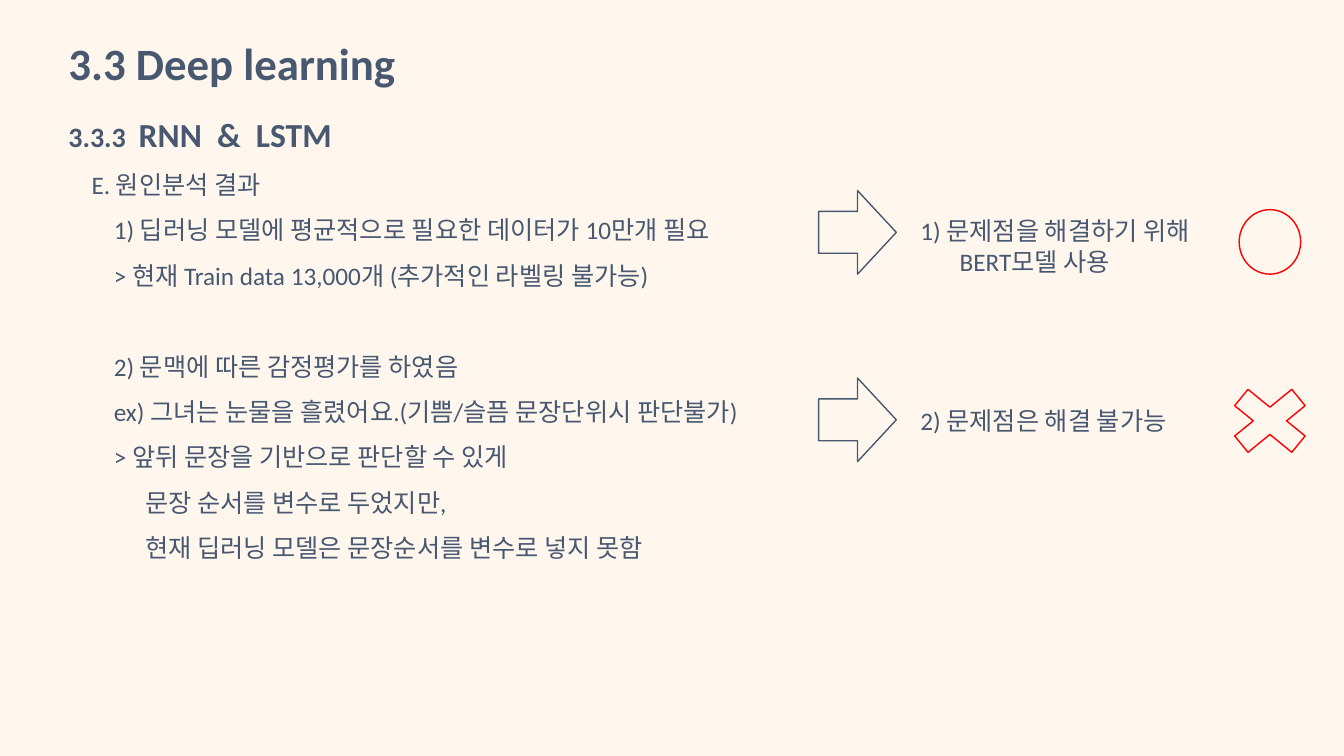
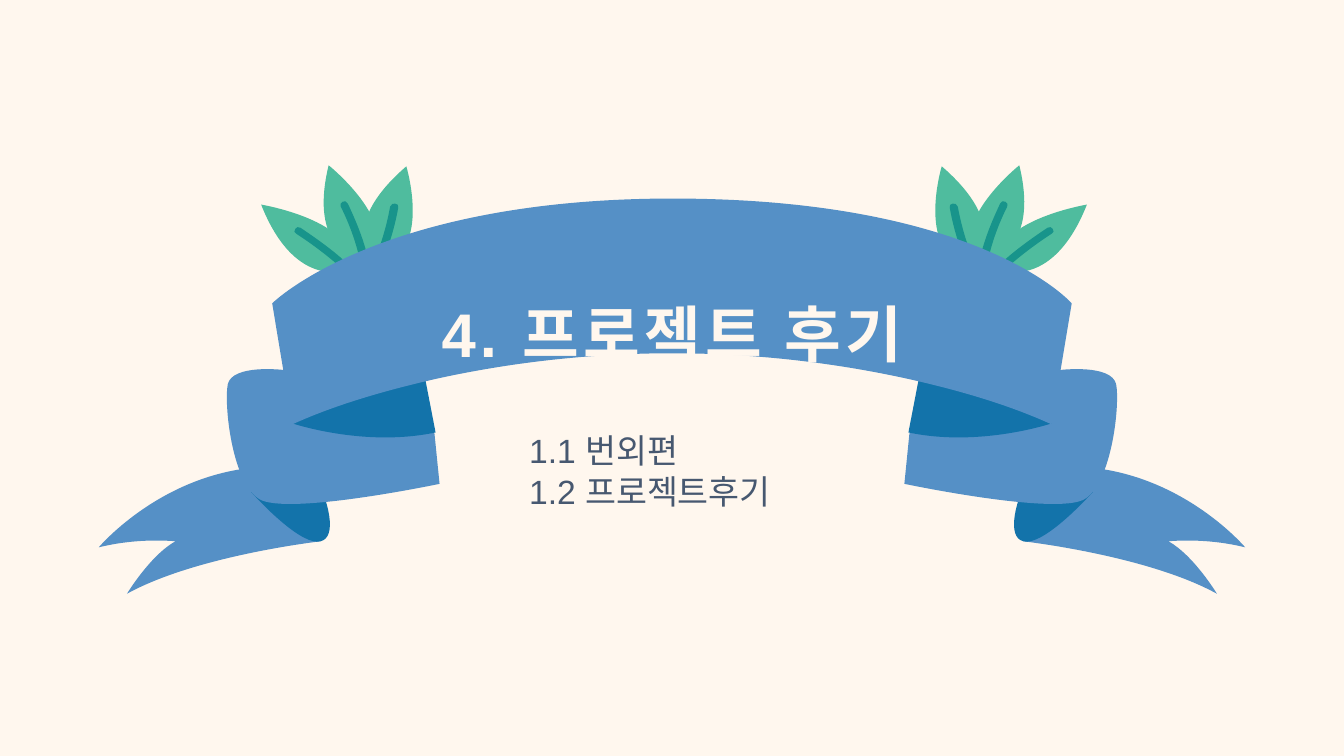
import dataclasses

import lxml.etree
import pptx
import pptx.dml.color
import pptx.enum.shapes
import pptx.enum.text
import pptx.oxml.ns
import pptx.util

Inches = pptx.util.Inches
Pt = pptx.util.Pt
qn = pptx.oxml.ns.qn
SHAPE = pptx.enum.shapes.MSO_SHAPE
ALIGN = pptx.enum.text.PP_ALIGN

# Palette
CREAM, SLATE, RED = "FFF7EE", "475870", "FF0000"
BLUE, DEEP_BLUE = "5590C6", "1373AA"
GREEN, DEEP_GREEN = "4FBC9E", "18948B"


def color(hex_value):
    return pptx.dml.color.RGBColor.from_string(hex_value)


@dataclasses.dataclass
class Line:
    """One paragraph; runs holds (text, size) pairs."""
    runs: list
    indent: float = 0
    spacing: float = 1.0
    before: float = 0
    bold: bool = False


class Deck:
    def __init__(self):
        self.prs = pptx.Presentation()
        self.prs.slide_width = Inches(13.33)
        self.prs.slide_height = Inches(7.5)
        self.slide = None

    def new_slide(self):
        self.slide = self.prs.slides.add_slide(self.prs.slide_layouts[6])
        self.slide.background.fill.solid()
        self.slide.background.fill.fore_color.rgb = color(CREAM)

    def text(self, box, lines, font="Calibri", ink=SLATE, align=ALIGN.LEFT, tracking=0):
        frame = self.slide.shapes.add_textbox(*map(Inches, box)).text_frame
        frame.word_wrap = True
        for number, line in enumerate(lines):
            paragraph = frame.add_paragraph() if number else frame.paragraphs[0]
            paragraph.alignment = align
            paragraph.line_spacing = line.spacing
            if line.before:
                paragraph.space_before = Pt(line.before)
            if line.indent:
                paragraph._p.get_or_add_pPr().set("marL", str(Inches(line.indent)))
            for words, size in line.runs:
                run = paragraph.add_run()
                run.text = words
                run.font.name = font
                run.font.size = Pt(size)
                run.font.bold = line.bold
                run.font.color.rgb = color(ink)
                if tracking:
                    run._r.get_or_add_rPr().set("spc", str(tracking * 100))

    def title(self, words):
        self.text((0.58, 0.37, 5.02, 0.71), [Line([(words, 32)], spacing=0.9, bold=True)])

    def outline(self, preset, box, ink, rotation=0):
        shape = self.slide.shapes.add_shape(preset, *map(Inches, box))
        shape.shadow.inherit = False
        shape.rotation = rotation
        shape.fill.background()
        shape.line.color.rgb = color(ink)
        shape.line.width = Pt(1)

    def freeform(self, group, fill, start, segments, mirror=None):
        """Pairs are straight lines, sixes are Bezier curves.

        mirror is the sum of a left x and its right twin.
        """
        def points(numbers):
            return [(Inches(mirror - x if mirror else x), Inches(y))
                    for x, y in zip(numbers[::2], numbers[1::2])]

        builder = group.shapes.build_freeform(*points(start)[0])
        builder.add_line_segments([points(segment)[-1] for segment in segments], close=True)
        shape = builder.convert_to_shape()
        left, top = shape.left, shape.top
        # Bend the straight segments that have control points
        for line, segment in zip(list(shape._element.iter(qn("a:lnTo"))), segments):
            if len(segment) == 6:
                curve = lxml.etree.Element(qn("a:cubicBezTo"))
                for x, y in points(segment):
                    lxml.etree.SubElement(curve, qn("a:pt"), x=str(x - left), y=str(y - top))
                line.getparent().replace(line, curve)
        shape.shadow.inherit = False
        shape.fill.solid()
        shape.fill.fore_color.rgb = color(fill)
        shape.line.fill.background()


# Left half of the ribbon artwork: (fill, start, segments)
LEAVES = [
    (GREEN, (3.47, 2.64), [(3.46, 2.68), (3.41, 2.69),
                           (3.27, 2.72, 2.87, 2.74, 2.59, 2.03),
                           (2.59, 2.03, 3.54, 2.19, 3.47, 2.64)]),
    (DEEP_GREEN, (3.47, 2.64), [(3.47, 2.68), (3.42, 2.69),
                                (3.3, 2.58, 3.14, 2.45, 2.94, 2.32),
                                (2.92, 2.31, 2.91, 2.29, 2.93, 2.27),
                                (2.94, 2.25, 2.96, 2.25, 2.98, 2.26),
                                (3.19, 2.4, 3.36, 2.53, 3.47, 2.64)]),
    (GREEN, (3.66, 2.57), [(3.63, 2.6), (3.58, 2.59),
                           (3.44, 2.55, 3.08, 2.38, 3.26, 1.64),
                           (3.26, 1.64, 3.98, 2.22, 3.66, 2.57)]),
    (DEEP_GREEN, (3.65, 2.57), [(3.63, 2.6), (3.57, 2.58),
                                (3.54, 2.44, 3.48, 2.25, 3.38, 2.05),
                                (3.37, 2.03, 3.38, 2.01, 3.4, 2),
                                (3.42, 1.99, 3.44, 2, 3.45, 2.02),
                                (3.55, 2.23, 3.62, 2.42, 3.65, 2.57)]),
    (GREEN, (3.79, 2.62), [(3.75, 2.63), (3.71, 2.59),
                           (3.62, 2.49, 3.43, 2.17, 4.03, 1.65),
                           (4.03, 1.65, 4.28, 2.48, 3.79, 2.62)]),
    (DEEP_GREEN, (3.79, 2.62), [(3.75, 2.63), (3.71, 2.59),
                                (3.77, 2.45, 3.83, 2.27, 3.87, 2.05),
                                (3.88, 2.03, 3.9, 2.01, 3.92, 2.02),
                                (3.94, 2.02, 3.96, 2.04, 3.95, 2.06),
                                (3.91, 2.29, 3.84, 2.48, 3.79, 2.62)]),
]
TAILS = [
    (BLUE, (3.18, 5.37), [(3.18, 5.37, 1.95, 5.51, 1.26, 5.89),
                          (1.26, 5.89, 1.49, 5.51, 1.74, 5.37),
                          (1.74, 5.37, 1.38, 5.33, 0.98, 5.43),
                          (0.98, 5.43, 1.56, 4.74, 2.5, 4.64),
                          (2.5, 4.64, 3.15, 5.07, 3.18, 5.37)]),
    (DEEP_BLUE, (2.49, 4.88), [(2.49, 4.88, 2.88, 5.32, 3.11, 5.37),
                               (3.33, 5.41, 3.31, 5.11, 3.15, 4.76)]),
    (BLUE, (2.81, 3.67), [(2.81, 3.67, 2.31, 3.61, 2.26, 3.81),
                          (2.22, 4.01, 2.3, 4.78, 2.57, 4.95),
                          (2.84, 5.12, 4.36, 4.8, 4.36, 4.8), (4.31, 4.3)]),
    (DEEP_BLUE, (2.9, 4.2), [(2.9, 4.2, 3.61, 4.44, 4.32, 4.29), (4.2, 3.67),
                             (4.2, 3.67, 3.33, 3.76, 2.9, 4.2)]),
]
BANNER = (BLUE, (10.63, 3.01), [(10.43, 4.21),
                                (9.99, 4.01, 9.5, 3.87, 9.01, 3.76),
                                (7.47, 3.42, 5.86, 3.42, 4.32, 3.76),
                                (3.84, 3.87, 3.34, 4.01, 2.9, 4.21), (2.7, 3.01),
                                (2.7, 3.01, 3.74, 1.97, 6.67, 1.97),
                                (9.73, 1.97, 10.63, 3.01, 10.63, 3.01)])


def causes_slide(deck):
    deck.new_slide()
    deck.title("3.3 Deep learning")

    # Causes: (text, indent, space before)
    causes = [
        ("E. 원인분석 결과", 0.23, 0),
        ("1) 딥러닝 모델에 평균적으로 필요한 데이터가 10만개 필요", 0.45, 0),
        ("> 현재 Train data 13,000개 (추가적인 라벨링 불가능)", 0.45, 0),
        ("2) 문맥에 따른 감정평가를 하였음", 0.45, 32.5),
        ("ex) 그녀는 눈물을 흘렸어요.(기쁨/슬픔 문장단위시 판단불가)", 0.45, 0),
        ("> 앞뒤 문장을 기반으로 판단할 수 있게", 0.45, 0),
        ("문장 순서를 변수로 두었지만,", 0.76, 0),
        ("현재 딥러닝 모델은 문장순서를 변수로 넣지 못함", 0.76, 0),
    ]
    heading = Line([("3.3.3  ", 20), ("RNN  &  LSTM", 24)], bold=True)
    deck.text((0.58, 1.08, 9.02, 4.54),
              [heading] + [Line([(words, 18)], indent, 1.5, before)
                           for words, indent, before in causes])

    # Answers, each with an arrow
    answers = [
        (1.92, 2.09, 0.71, [("1) 문제점을 해결하기 위해", 0), ("BERT모델 사용", 0.39)]),
        (3.78, 3.97, 0.4, [("2) 문제점은 해결 불가능", 0)]),
    ]
    for arrow_top, top, height, lines in answers:
        deck.outline(SHAPE.DOWN_ARROW, (8.09, arrow_top, 0.83, 0.77), SLATE, rotation=270)
        deck.text((9.03, top, 3.39, height),
                  [Line([(words, 18)], indent) for words, indent in lines])

    # Verdict marks
    deck.outline(SHAPE.OVAL, (12.29, 2.08, 0.61, 0.64), RED)
    deck.outline(SHAPE.MATH_MULTIPLY, (12.05, 3.73, 1.09, 0.89), RED)


def section_slide(deck):
    deck.new_slide()

    # Ribbon: each half is drawn and then mirrored, the banner goes on top
    ribbon = deck.slide.shapes.add_group_shape()
    for parts, mirror in ((LEAVES, 13.37), (TAILS, 13.33)):
        for side in (None, mirror):
            for part in parts:
                deck.freeform(ribbon, *part, mirror=side)
    deck.freeform(ribbon, *BANNER)

    # Section title and contents
    deck.text((2.55, 2.89, 8.23, 1.68), [Line([("4. 프로젝트 후기", 44)], bold=True)],
              font="Arial", ink=CREAM, align=ALIGN.CENTER, tracking=3)
    deck.text((5.15, 4.22, 4.22, 0.91),
              [Line([(words, 24)]) for words in ("1.1 번외편", "1.2 프로젝트후기")],
              font="Arial")


def main():
    deck = Deck()
    causes_slide(deck)
    section_slide(deck)
    deck.prs.save("out.pptx")


if __name__ == "__main__":
    main()
